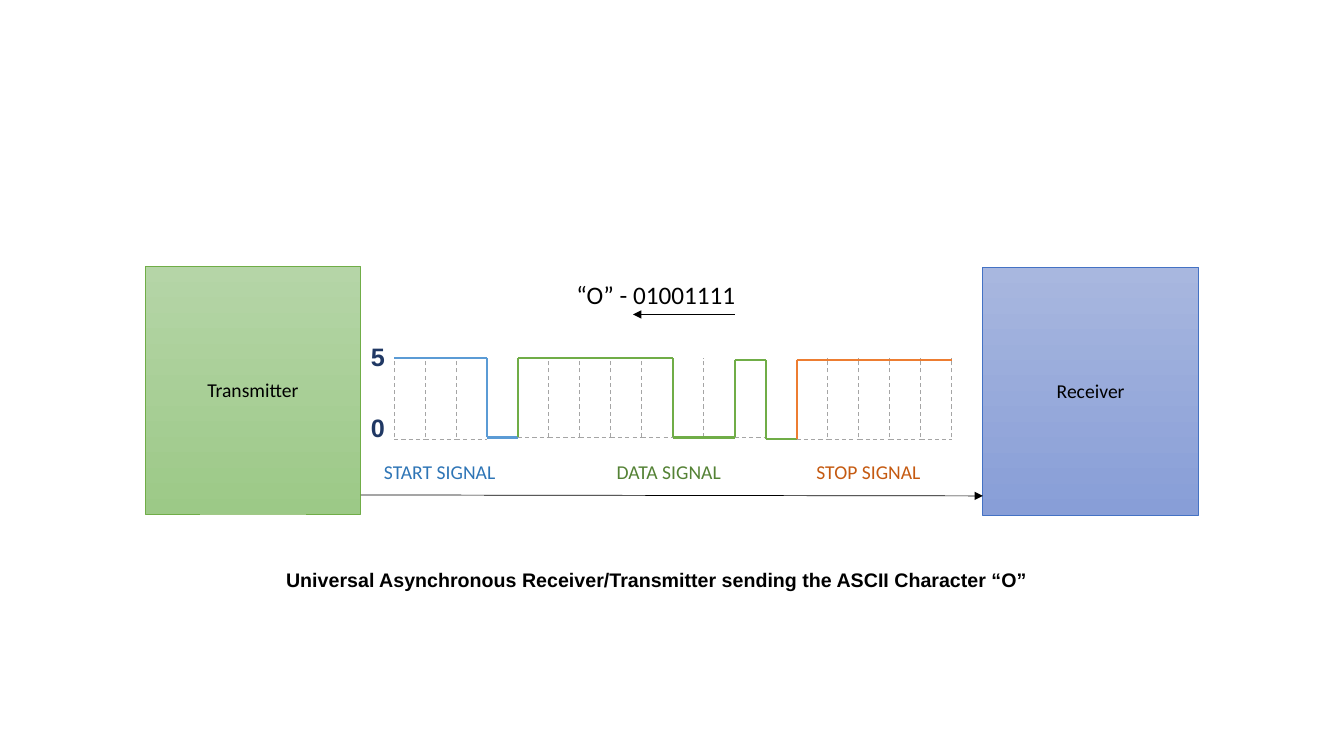
from itertools import groupby

from lxml.etree import SubElement
from pptx import Presentation
from pptx.dml.color import RGBColor
from pptx.enum.dml import MSO_LINE
from pptx.enum.shapes import MSO_CONNECTOR as CONNECTOR, MSO_SHAPE as SHAPE
from pptx.enum.text import MSO_ANCHOR as ANCHOR, PP_ALIGN as ALIGN
from pptx.oxml.ns import qn
from pptx.util import Inches, Pt

WIDTH, HEIGHT = Inches(13.33), Inches(7.5)
COLORS = {
    "black": "000000", "level": "203864", "grid": "A5A5A5",
    "start": "5B9BD5", "data": "70AD47", "stop": "ED7D31",
    "start text": "2E75B6", "data text": "548235", "stop text": "C55A11",
    "transmitter top": "B5D5A7", "transmitter bottom": "9CC987",
    "receiver top": "A8B7DF", "receiver bottom": "889ED7", "receiver": "4472C4",
}

# The signal, one level for each bit period
SIGNALS = [("start", "1110"), ("data", "111110010"), ("stop", "11111")]
BITS = [(name, level) for name, levels in SIGNALS for level in levels]
SIGNAL_LEFT, SIGNAL_RIGHT = 29.33, 70.8
BIT_WIDTH = (SIGNAL_RIGHT - SIGNAL_LEFT) / len(BITS)


# Positions are percentages of the slide's width and height
def across(share):
    return round(WIDTH * share / 100)


def down(share):
    return round(HEIGHT * share / 100)


def color(name):
    return RGBColor.from_string(COLORS[name])


def write(text_frame, text, size, color_name="black", font="Calibri", bold=False):
    paragraph = text_frame.paragraphs[0]
    paragraph.text = text
    paragraph.font.size = Pt(size)
    paragraph.font.name = font
    paragraph.font.bold = bold
    paragraph.font.color.rgb = color(color_name)
    return paragraph


def add_label(slide, text, left, top, width, size=14, **style):
    height = 4.53 if size == 14 else 5.33
    box = slide.shapes.add_textbox(across(left), down(top), across(width), down(height))
    box.text_frame.word_wrap = True
    write(box.text_frame, text, size, **style)


def add_device(slide, text, left, top, fill_name, line_name):
    shape = slide.shapes.add_shape(
        SHAPE.RECTANGLE, across(left), down(top), across(16.05), down(32.8))
    shape.shadow.inherit = False
    shape.fill.gradient()
    shape.fill.gradient_angle = 270
    for stop, end in zip(shape.fill.gradient_stops, ("top", "bottom")):
        stop.color.rgb = color(f"{fill_name} {end}")
    shape.line.color.rgb = color(line_name)
    shape.line.width = Pt(0.5)
    shape.text_frame.vertical_anchor = ANCHOR.MIDDLE
    write(shape.text_frame, text, 14).alignment = ALIGN.CENTER


def add_line(slide, start, end, color_name, width, dashed=False, arrow=False):
    line = slide.shapes.add_connector(
        CONNECTOR.STRAIGHT, across(start[0]), down(start[1]), across(end[0]), down(end[1]))
    line.line.color.rgb = color(color_name)
    line.line.width = Pt(width)
    if dashed:
        line.line.dash_style = MSO_LINE.DASH
    if arrow:
        SubElement(line.line._get_or_add_ln(), qn("a:tailEnd"), type="triangle")
    SubElement(line._element.spPr, qn("a:effectLst"))


def edge(bit):
    return SIGNAL_LEFT + bit * BIT_WIDTH


def high(bit):
    return 47.6 if bit >= 11 else 47.33


def low(bit):
    return 58.13 if bit < 3 or bit >= 12 else 57.87


def add_bit_grid(slide):
    for bit, (_, level) in enumerate(BITS):
        if level == "1":
            add_line(slide, (edge(bit), low(bit)), (edge(bit + 1), low(bit)),
                     "grid", 0.75, dashed=True)
    for bit in range(len(BITS) + 1):
        inside = 0 < bit < len(BITS)
        if not inside or BITS[bit - 1][1] == BITS[bit][1]:
            add_line(slide, (edge(bit), 57.87), (edge(bit), 47.33),
                     "grid", 0.75, dashed=True)


def add_waveform(slide):
    bit = 0
    for (name, level), run in groupby(BITS):
        end = bit + len(list(run))
        height = high(bit) if level == "1" else low(bit)
        if bit:
            add_line(slide, (edge(bit), low(bit)), (edge(bit), high(bit)), name, 1.5)
        add_line(slide, (edge(bit), height), (edge(end), height), name, 1.5)
        bit = end


def main():
    presentation = Presentation()
    presentation.slide_width, presentation.slide_height = WIDTH, HEIGHT
    slide = presentation.slides.add_slide(presentation.slide_layouts[6])

    # Devices and the link between them
    add_device(slide, "Transmitter", 10.8, 35.2, "transmitter", "data")
    add_device(slide, "Receiver", 73.13, 35.33, "receiver", "receiver")
    add_line(slide, (26.85, 65.47), (73.13, 65.6), "black", 0.5, arrow=True)

    # Character and its bit order
    add_label(slide, "“O” - 01001111", 42.15, 36.27, 15.23, size=18)
    add_line(slide, (54.68, 41.6), (47.1, 41.6), "black", 0.5, arrow=True)

    # Signal with its levels and names
    add_bit_grid(slide)
    add_waveform(slide)
    for text, top in (("5", 44.53), ("0", 53.87)):
        add_label(slide, text, 26.85, top, 2.33, size=18,
                  color_name="level", font="Arial", bold=True)
    for name, left, width in (("start", 27.83, 14.1), ("data", 45.15, 9.6), ("stop", 60, 12)):
        add_label(slide, f"{name.upper()} SIGNAL", left, 60.13, width,
                  color_name=f"{name} text")

    # Caption
    add_label(slide, "Universal Asynchronous Receiver/Transmitter sending the ASCII Character “O”",
              20.55, 74.4, 61.05, font="Arial", bold=True)

    presentation.save("out.pptx")


main()
